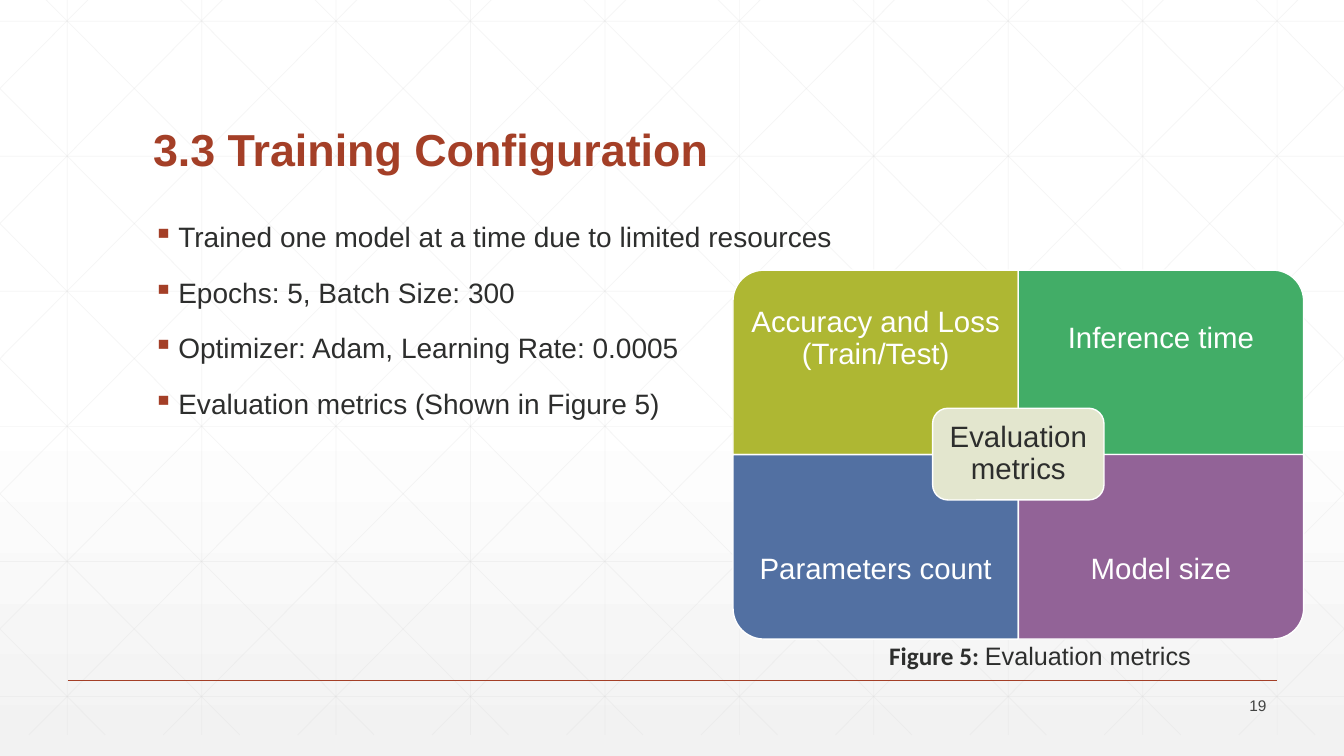
from dataclasses import dataclass

from lxml import etree
from pptx import Presentation, util as u
from pptx.dml.color import RGBColor
from pptx.enum import shapes, text
from pptx.oxml import ns


@dataclass(frozen=True)
class Theme:
    font: str = "Arial"
    label_font: str = "Calibri"
    accent: str = "A43F27"
    ink: str = "2D2E2D"
    page_ink: str = "424342"
    white: str = "FFFFFF"
    shade: str = "F2F2F2"
    grid: str = "D9D9D9"
    hub: str = "E3E6CE"
    title_size: float = 32
    body_size: float = 20
    metric_size: float = 21
    caption_size: float = 18
    page_size: float = 11


@dataclass(frozen=True)
class Box:
    left: float
    top: float
    width: float
    height: float

    def inches(self) -> list:
        return [u.Inches(v) for v in (self.left, self.top, self.width, self.height)]


@dataclass(frozen=True)
class Style:
    size: float
    color: str
    bold: bool = False
    align: text.PP_ALIGN = text.PP_ALIGN.LEFT
    anchor: text.MSO_ANCHOR = text.MSO_ANCHOR.TOP
    spacing: float = 1.0
    inset: float | None = None


@dataclass(frozen=True)
class Metric:
    label: str
    fill: str
    column: int
    row: int
    rotation: int


THEME = Theme()
WIDTH, HEIGHT = 13.33, 7.5
GRID_TOP, GRID_BOTTOM, GRID_STEP = -0.21, 7.29, 4 / 3
DIAGONAL_RUN = 7.46
MATRIX = Box(7.27, 2.68, 5.66, 3.66)
METRIC_TEXT_HEIGHT = 1.37
HUB = Box(9.25, 4.05, 1.7, 0.91)

BULLETS = (
    "Trained one model at a time due to limited resources",
    "Epochs: 5, Batch Size: 300",
    "Optimizer: Adam, Learning Rate: 0.0005",
    "Evaluation metrics (Shown in Figure 5)",
)
METRICS = (
    Metric("Accuracy and Loss (Train/Test)", "AEB733", 0, 0, 270),
    Metric("Inference time", "42AD67", 1, 0, 0),
    Metric("Parameters count", "5270A2", 0, 1, 180),
    Metric("Model size", "926397", 1, 1, 90),
)


def add_line(slide, x1: float, y1: float, x2: float, y2: float,
             color: str, weight: float, alpha: int = 100) -> None:
    line = slide.shapes.add_connector(
        shapes.MSO_CONNECTOR.STRAIGHT, *[u.Inches(v) for v in (x1, y1, x2, y2)])
    line.line.color.rgb = RGBColor.from_string(color)
    line.line.width = u.Pt(weight)
    properties = line._element.spPr
    if alpha < 100:
        color_element = properties.find(".//" + ns.qn("a:srgbClr"))
        etree.SubElement(color_element, ns.qn("a:alpha"), val=str(alpha * 1000))
    etree.SubElement(properties, ns.qn("a:effectLst"))


def style_font(font, style: Style) -> None:
    font.name = THEME.font
    font.size = u.Pt(style.size)
    font.bold = style.bold
    font.color.rgb = RGBColor.from_string(style.color)


def add_text(slide, box: Box, content: str, style: Style):
    frame = slide.shapes.add_textbox(*box.inches()).text_frame
    frame.word_wrap = True
    frame.vertical_anchor = style.anchor
    if style.inset is not None:
        frame.margin_left = frame.margin_right = u.Inches(style.inset)
        frame.margin_top = frame.margin_bottom = u.Inches(style.inset)
    frame.text = content
    for paragraph in frame.paragraphs:
        paragraph.alignment = style.align
        paragraph.line_spacing = style.spacing
        for run in paragraph.runs:
            style_font(run.font, style)
    return frame


def add_panel(slide, kind: shapes.MSO_SHAPE, box: Box, fill: str, rotation: int = 0) -> None:
    panel = slide.shapes.add_shape(kind, *box.inches())
    panel.rotation = rotation
    panel.shadow.inherit = False
    panel.fill.solid()
    panel.fill.fore_color.rgb = RGBColor.from_string(fill)
    panel.line.color.rgb = RGBColor.from_string(THEME.white)
    panel.line.width = u.Pt(1)


def add_background(slide) -> None:
    fill = slide.background.fill
    fill.gradient()
    fill.gradient_angle = 270
    for stop, position, color in zip(fill.gradient_stops, (0.53, 1), (THEME.white, THEME.shade)):
        stop.position = position
        stop.color.rgb = RGBColor.from_string(color)


def add_grid(slide) -> None:
    lines = []
    for column in range(10):
        x = GRID_STEP * (column + 0.5)
        lines.append((x, GRID_TOP, x, GRID_BOTTOM))
    for row in range(6):
        y = 0.21 + 1.34 * row
        lines.append((0, y, WIDTH, y))
    # Diagonals are cut at the slide edges, then mirrored
    slope = (GRID_BOTTOM - GRID_TOP) / DIAGONAL_RUN
    for step in range(-5, 10):
        start = 0.25 + GRID_STEP * step
        x1, x2 = max(start, 0), min(start + DIAGONAL_RUN, WIDTH)
        y1, y2 = (GRID_TOP + (x - start) * slope for x in (x1, x2))
        lines += [(x1, y1, x2, y2), (WIDTH - x1, y1, WIDTH - x2, y2)]
    for line in lines:
        add_line(slide, *line, THEME.grid, 0.5, alpha=25)


def add_bullets(slide) -> None:
    style = Style(THEME.body_size, THEME.ink, spacing=0.9)
    frame = add_text(slide, Box(1.42, 2.17, 10.5, 4.17), "\n".join(BULLETS), style)
    for index, paragraph in enumerate(frame.paragraphs):
        paragraph.space_before = u.Pt(18 if index else 0)
        properties = paragraph._p.get_or_add_pPr()
        properties.set("marL", str(u.Inches(0.25)))
        properties.set("indent", str(-u.Inches(0.25)))
        bullet_color = etree.SubElement(properties, ns.qn("a:buClr"))
        etree.SubElement(bullet_color, ns.qn("a:srgbClr"), val=THEME.accent)
        etree.SubElement(properties, ns.qn("a:buChar"), char="▪")


def add_matrix(slide) -> None:
    width, height = MATRIX.width / 2, MATRIX.height / 2
    centered = dict(align=text.PP_ALIGN.CENTER, anchor=text.MSO_ANCHOR.MIDDLE, spacing=0.9)
    for metric in METRICS:
        left, top = MATRIX.left + metric.column * width, MATRIX.top + metric.row * height
        box = Box(left, top, width, height)
        if metric.rotation % 180:
            shift = (width - height) / 2
            box = Box(left + shift, top - shift, height, width)
        add_panel(slide, shapes.MSO_SHAPE.ROUND_1_RECTANGLE, box, metric.fill, metric.rotation)
        text_top = top + metric.row * (height - METRIC_TEXT_HEIGHT)
        add_text(slide, Box(left, text_top, width, METRIC_TEXT_HEIGHT), metric.label,
                 Style(THEME.metric_size, THEME.white, inset=0.16, **centered))
    # Central label
    add_panel(slide, shapes.MSO_SHAPE.ROUNDED_RECTANGLE, HUB, THEME.hub)
    add_text(slide, HUB, "Evaluation metrics",
             Style(THEME.metric_size, THEME.ink, inset=0.13, **centered))


def add_caption(slide) -> None:
    style = Style(THEME.caption_size, THEME.ink, align=text.PP_ALIGN.CENTER)
    frame = add_text(slide, Box(6.98, 6.3, 6.67, 0.4), "Figure 5: ", style)
    paragraph = frame.paragraphs[0]
    label = paragraph.runs[0]
    label.font.name = THEME.label_font
    label.font.bold = True
    description = paragraph.add_run()
    description.text = "Evaluation metrics"
    style_font(description.font, style)


def main() -> None:
    presentation = Presentation()
    presentation.slide_width, presentation.slide_height = u.Inches(WIDTH), u.Inches(HEIGHT)
    slide = presentation.slides.add_slide(presentation.slide_layouts[6])
    # Backdrop and footer rule
    add_background(slide)
    add_grid(slide)
    add_line(slide, 0.67, 6.75, 12.67, 6.75, THEME.accent, 1)
    # Title and content
    add_text(slide, Box(1.42, 0.55, 10.5, 1.25), "3.3 Training Configuration",
             Style(THEME.title_size, THEME.accent, True, anchor=text.MSO_ANCHOR.BOTTOM, spacing=0.9))
    add_bullets(slide)
    add_matrix(slide)
    add_caption(slide)
    # Page number
    add_text(slide, Box(11.66, 6.88, 1, 0.24), "19",
             Style(THEME.page_size, THEME.page_ink, align=text.PP_ALIGN.RIGHT,
                   anchor=text.MSO_ANCHOR.MIDDLE))
    presentation.save("out.pptx")


if __name__ == "__main__":
    main()
